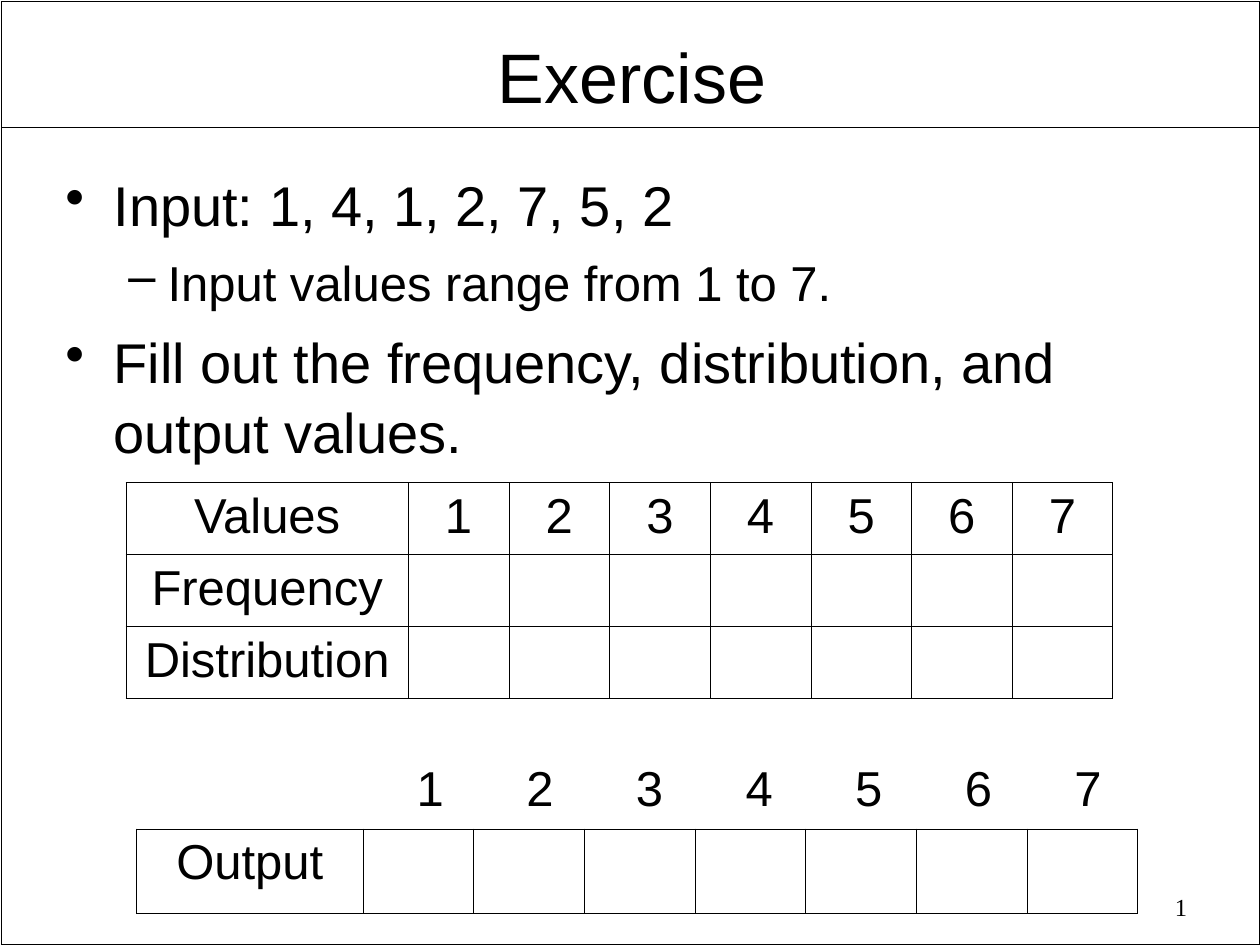
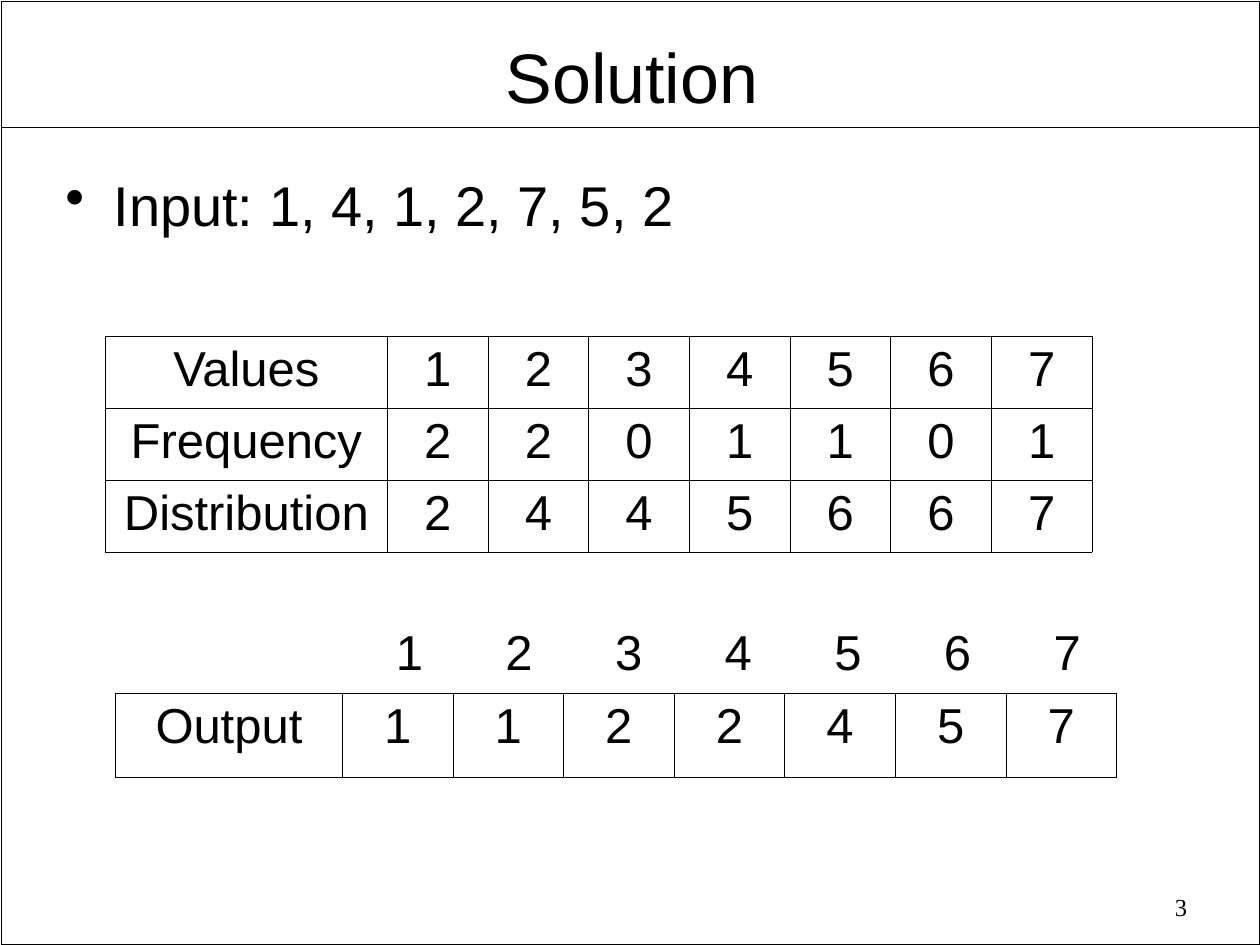
import pptx
import pptx.dml.color
import pptx.enum.shapes
import pptx.enum.text
import pptx.oxml
import pptx.oxml.ns
import pptx.util
from pptx.util import Cm

BLACK = pptx.dml.color.RGBColor(0x00, 0x00, 0x00)
SANS, SERIF = "Arial", "Times New Roman"
ALIGN = pptx.enum.text.PP_ALIGN
VALUES = range(1, 8)
INPUT = ("Input: 1, 4, 1, 2, 7, 5, 2", 0)
# Per bullet level: character, left margin, hanging indent, size, space before
LEVELS = [("•", 0.97, 0.97, 32, 8), ("–", 2.06, 0.79, 28, 7)]


class Deck:
    def __init__(self):
        self.prs = pptx.Presentation()
        self.prs.slide_width, self.prs.slide_height = Cm(25.4), Cm(19.05)
        self.slide = None

    def add_slide(self, title, number):
        """Start a slide with its frame, title and page number."""
        self.slide = self.prs.slides.add_slide(self.prs.slide_layouts[6])
        sp = self.slide.shapes.add_shape(
            pptx.enum.shapes.MSO_SHAPE.RECTANGLE, Cm(0.03), Cm(0.03), Cm(25.37), Cm(19.02))
        sp.shadow.inherit = False
        sp.fill.background()
        self.line_style(sp.line)
        self.rule(0.03, 25.37, 2.57)
        tf = self.text_box(1.35, 0.48, 22.78, 1.83, inset=(0.18, 0.08))
        self.add_text(tf.paragraphs[0], title, 40, align=ALIGN.CENTER, spacing=1.04)
        tf = self.text_box(18.24, 17.81, 5.94, 0.91)
        self.add_text(tf.paragraphs[0], number, 14, SERIF, ALIGN.RIGHT)

    def line_style(self, line):
        line.color.rgb = BLACK
        line.width = pptx.util.Pt(1)

    def rule(self, left, right, y):
        cn = self.slide.shapes.add_connector(
            pptx.enum.shapes.MSO_CONNECTOR.STRAIGHT, Cm(left), Cm(y), Cm(right), Cm(y))
        self.line_style(cn.line)
        cn._element.spPr.append(pptx.oxml.parse_xml(
            f'<a:effectLst {pptx.oxml.ns.nsdecls("a")}/>'))

    def text_box(self, x, y, w, h, inset=(0.25, 0.13), wrap=True):
        """Add a text box, set a little lower by its top inset, and return its frame."""
        tf = self.slide.shapes.add_textbox(Cm(x), Cm(y), Cm(w), Cm(h)).text_frame
        tf.word_wrap = wrap
        tf.margin_left = tf.margin_right = Cm(inset[0])
        tf.margin_top, tf.margin_bottom = Cm(inset[1] + 0.05), Cm(inset[1])
        return tf

    def add_text(self, p, text, size, font=SANS, align=ALIGN.LEFT, spacing=None):
        p.alignment = align
        if spacing:
            p.line_spacing = spacing
        r = p.add_run()
        r.text = str(text)
        r.font.name = font
        r.font.size = pptx.util.Pt(size)
        r.font.color.rgb = BLACK

    def bullets(self, items, height):
        tf = self.text_box(1.07, 3.2, 23.29, height)
        for i, (text, level) in enumerate(items):
            char, margin, hang, size, before = LEVELS[level]
            p = tf.add_paragraph() if i else tf.paragraphs[0]
            p.level = level
            pPr = p._p.get_or_add_pPr()
            pPr.set("marL", str(Cm(margin)))
            pPr.set("indent", str(-Cm(hang)))
            pPr.append(pptx.oxml.parse_xml(
                f'<a:buChar {pptx.oxml.ns.nsdecls("a")} char="{char}"/>'))
            if i:
                p.space_before = pptx.util.Pt(before)
            self.add_text(p, text, size, spacing=1.04)

    def table(self, x, y, rows, head_width, col_width, row_height):
        """Draw a thin black grid; None leaves a cell empty."""
        widths = [head_width] + [col_width] * (len(rows[0]) - 1)
        table = self.slide.shapes.add_table(
            len(rows), len(widths), Cm(x), Cm(y),
            Cm(sum(widths)), Cm(row_height * len(rows))).table
        table.first_row = table.horz_banding = False
        for col, width in zip(table.columns, widths):
            col.width = Cm(width)
        for row, texts in zip(table.rows, rows):
            row.height = Cm(row_height)
            for cell, text in zip(row.cells, texts):
                self.border(cell)
                cell.fill.background()
                if text is not None:
                    self.add_text(cell.text_frame.paragraphs[0], text, 28, align=ALIGN.CENTER)

    def border(self, cell):
        tcPr = cell._tc.get_or_add_tcPr()
        for side in "LRTB":
            tcPr.append(pptx.oxml.parse_xml(
                f'<a:ln{side} {pptx.oxml.ns.nsdecls("a")} w="{pptx.util.Pt(0.45)}">'
                f'<a:solidFill><a:srgbClr val="{BLACK}"/></a:solidFill></a:ln{side}>'))

    def counting_sort(self, x, values_top, output_top, frequency, distribution, output):
        """Draw the counting table and, below it, the output array with its indices."""
        rows = [["Values", *VALUES], ["Frequency", *frequency], ["Distribution", *distribution]]
        self.table(x, values_top, rows, 5.69, 2.03, 1.45)
        for i, index in enumerate(VALUES):
            tf = self.text_box(x + 5.61 + 2.21 * i, output_top - 1.66, 1.04, 1.45, wrap=False)
            self.add_text(tf.paragraphs[0], index, 28, spacing=1.04)
        self.table(x + 0.21, output_top, [["Output", *output]], 4.57, 2.23, 1.7)


def main():
    deck = Deck()
    empty = [None] * len(VALUES)

    deck.add_slide("Exercise", 1)
    deck.bullets([INPUT, ("Input values range from 1 to 7.", 1),
                  ("Fill out the frequency, distribution, and output values.", 0)], 6.12)
    deck.counting_sort(2.54, 9.73, 16.71, empty, empty, empty)

    deck.add_slide("Solution", 3)
    deck.bullets([INPUT], 2.31)
    deck.counting_sort(2.12, 6.78, 13.97, [2, 2, 0, 1, 1, 0, 1],
                       [2, 4, 4, 5, 6, 6, 7], [1, 1, 2, 2, 4, 5, 7])

    deck.prs.save("out.pptx")


if __name__ == "__main__":
    main()
